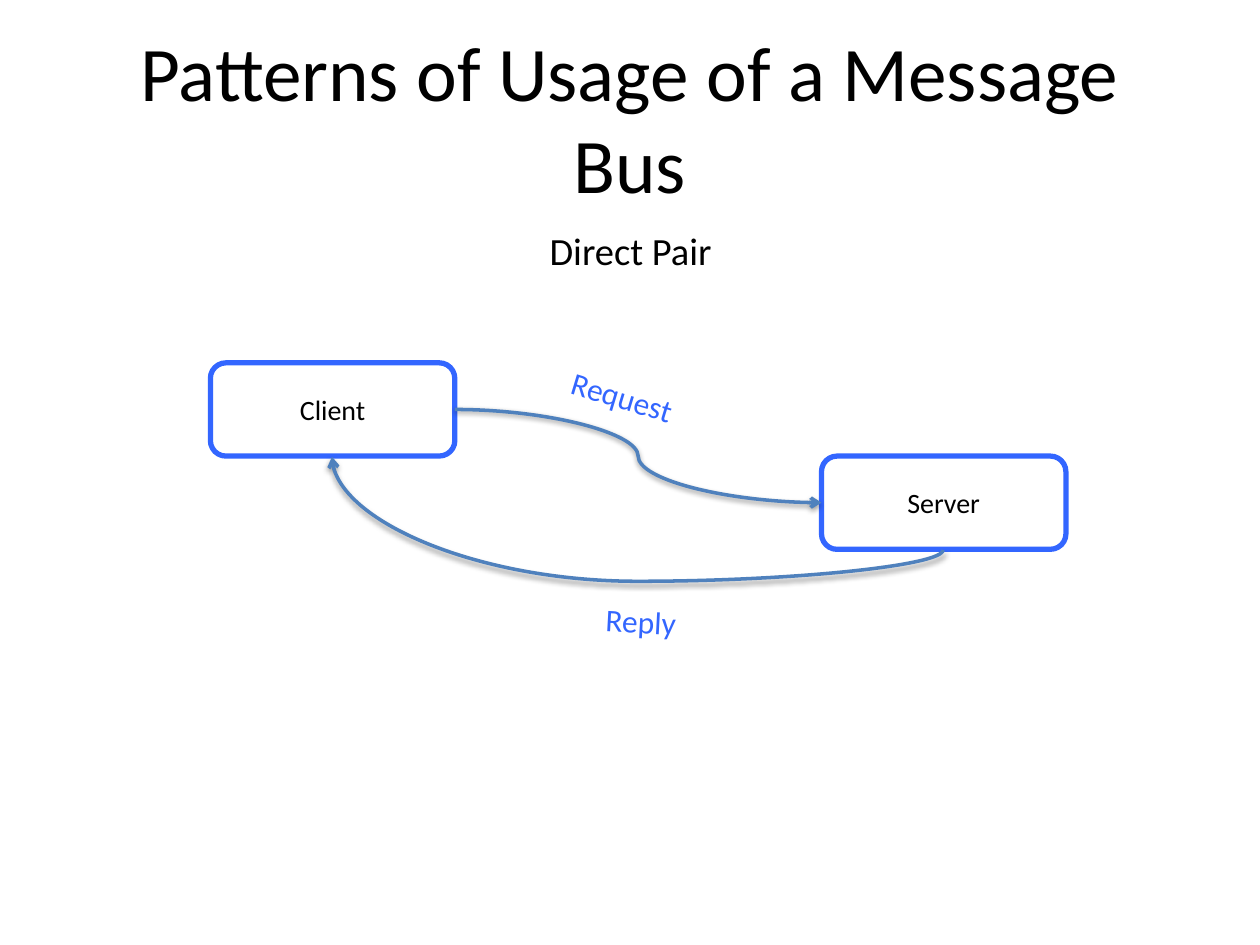
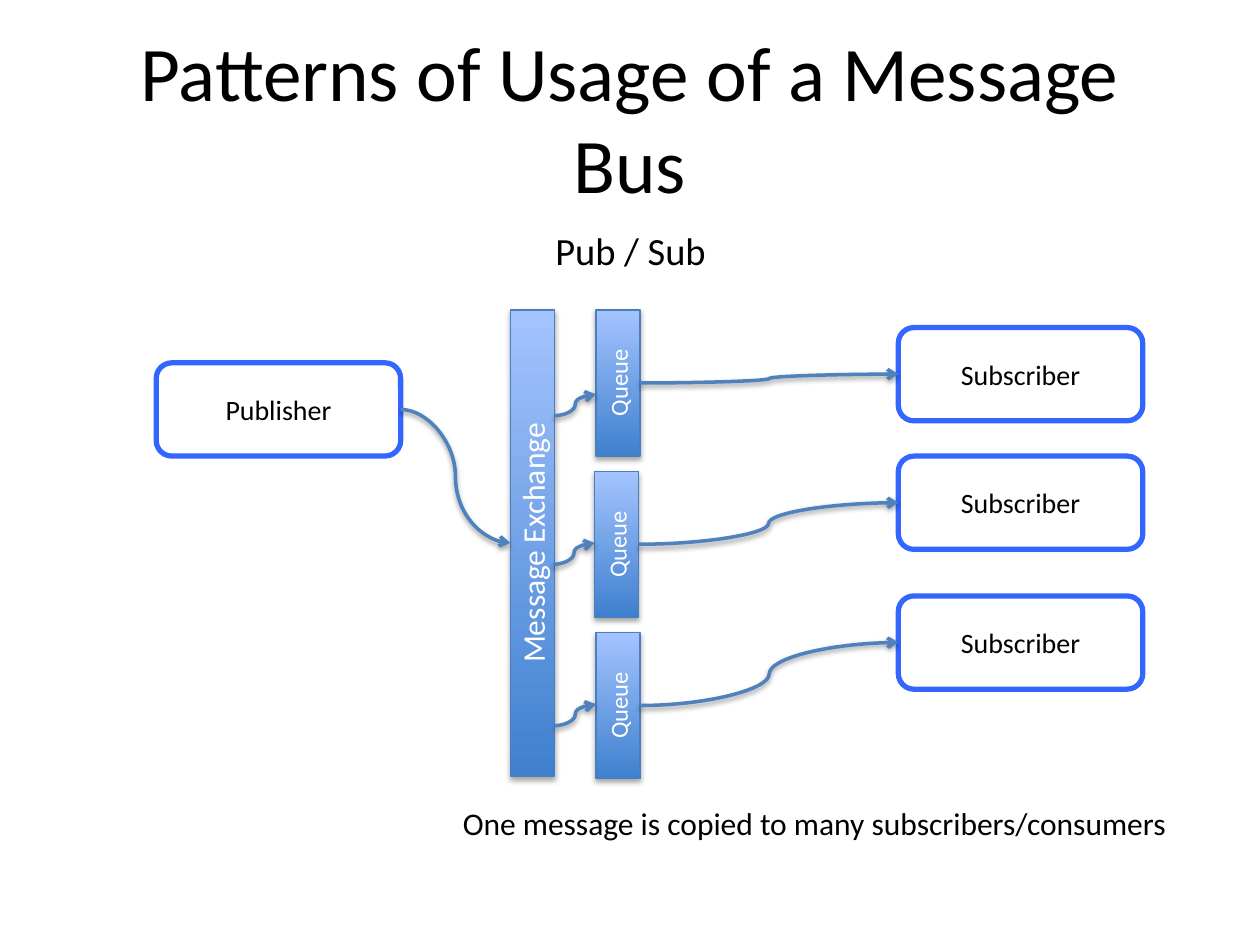
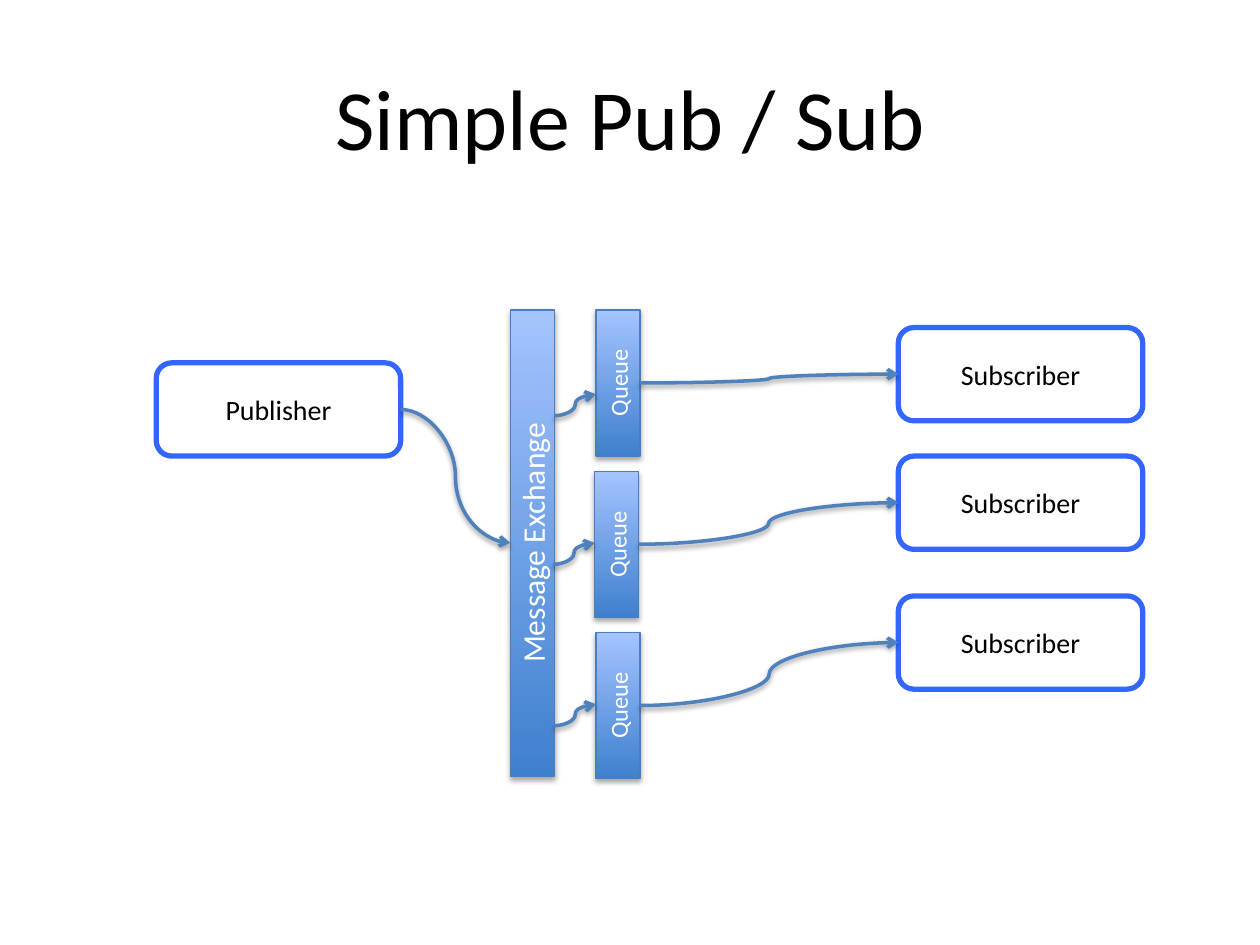
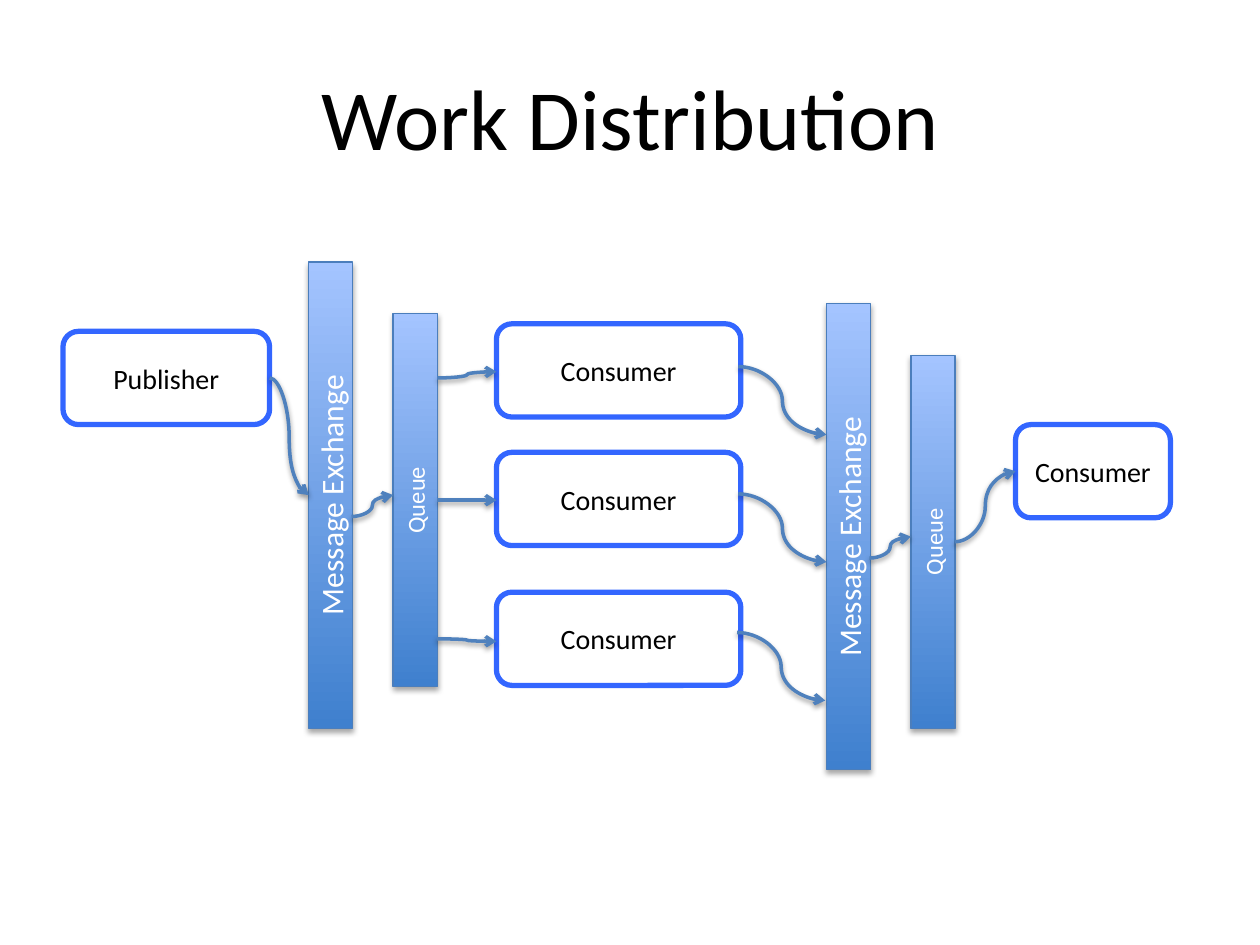
"""Builds four slides on message bus patterns."""
from dataclasses import dataclass

from lxml.etree import SubElement
from pptx import Presentation
from pptx.dml.color import RGBColor
from pptx.enum.shapes import MSO_CONNECTOR, MSO_SHAPE
from pptx.enum.text import MSO_ANCHOR, MSO_AUTO_SIZE, PP_ALIGN
from pptx.oxml.ns import qn
from pptx.util import Inches, Pt


@dataclass(frozen=True)
class Theme:
    font: str = "Calibri"
    text: str = "000000"
    light_text: str = "FFFFFF"
    box_fill: str = "FFFFFF"
    accent: str = "3366FF"
    arrow: str = "4F81BD"
    bar_line: str = "4B7EBC"
    bar_bottom: str = "3F80CE"
    bar_top: str = "A4C4FF"
    shadow: str = "000000"
    title_size: float = 49
    long_title_size: float = 44.1
    subtitle_size: float = 22
    label_size: float = 18
    box_size: float = 16
    queue_size: float = 14


TITLE_ONLY = 5
LEFT_SITE, RIGHT_SITE = 1, 3
BOX_WIDTH, BOX_HEIGHT = 1.94, 0.74
BAR_WIDTH, EXCHANGE_HEIGHT = 0.35, 3.7
BOX_TOPS = (2.6, 3.62, 4.73)
PATTERNS_TITLE = "Patterns of Usage of a Message Bus"


def color(value):
    return RGBColor.from_string(value)


class Deck:
    def __init__(self, theme):
        self.theme = theme
        self.presentation = Presentation()
        self.presentation.slide_width = Inches(10)
        self.presentation.slide_height = Inches(7.5)
        self.slide = None

    def set_text(self, shape, text, size, text_color, align=PP_ALIGN.CENTER):
        shape.text_frame.text = text
        paragraph = shape.text_frame.paragraphs[0]
        paragraph.alignment = align
        paragraph.font.name = self.theme.font
        paragraph.font.size = Pt(size)
        paragraph.font.color.rgb = color(text_color)
        return paragraph

    def add_slide(self, title, size):
        layout = self.presentation.slide_layouts[TITLE_ONLY]
        self.slide = self.presentation.slides.add_slide(layout)
        shape = self.slide.shapes.title
        shape.left, shape.top = Inches(0.5), Inches(0.3)
        shape.width, shape.height = Inches(9), Inches(1.25)
        self.set_text(shape, title, size, self.theme.text)
        shape.text_frame.auto_size = MSO_AUTO_SIZE.NONE
        shape.text_frame.vertical_anchor = MSO_ANCHOR.MIDDLE

    def subtitle(self, text):
        shape = self.slide.shapes.add_textbox(
            Inches(2.24), Inches(1.75), Inches(5.53), Inches(0.54))
        shape.text_frame.word_wrap = True
        paragraph = self.set_text(shape, text, self.theme.subtitle_size, self.theme.text)
        paragraph.space_before = Pt(0.2 * self.theme.subtitle_size)

    def label(self, text, left, top, width, text_color, rotation=0, align=PP_ALIGN.LEFT):
        shape = self.slide.shapes.add_textbox(
            Inches(left), Inches(top), Inches(width), Inches(0.4))
        shape.rotation = rotation
        self.set_text(shape, text, self.theme.label_size, text_color, align)
        shape.text_frame.word_wrap = False
        shape.text_frame.auto_size = MSO_AUTO_SIZE.SHAPE_TO_FIT_TEXT

    def box(self, text, left, top, width=BOX_WIDTH):
        shape = self.slide.shapes.add_shape(
            MSO_SHAPE.ROUNDED_RECTANGLE,
            Inches(left), Inches(top), Inches(width), Inches(BOX_HEIGHT))
        shape.fill.solid()
        shape.fill.fore_color.rgb = color(self.theme.box_fill)
        shape.line.color.rgb = color(self.theme.accent)
        shape.line.width = Pt(3)
        shape.shadow.inherit = False
        self.set_text(shape, text, self.theme.box_size, self.theme.text)
        return shape

    def bar(self, text, left, top, height, size):
        shape = self.slide.shapes.add_shape(
            MSO_SHAPE.RECTANGLE,
            Inches(left), Inches(top), Inches(BAR_WIDTH), Inches(height))
        shape.fill.gradient()
        shape.fill.gradient_angle = 90
        stop_colors = (self.theme.bar_bottom, self.theme.bar_top)
        for stop, stop_color in zip(shape.fill.gradient_stops, stop_colors):
            stop.color.rgb = color(stop_color)
        shape.line.color.rgb = color(self.theme.bar_line)
        shape.line.width = Pt(0.75)
        shape.shadow.inherit = False
        self.cast_shadow(shape.element.spPr.find(qn("a:effectLst")), 1.8, 35)
        self.set_text(shape, text, size, self.theme.light_text)
        shape.element.txBody.find(qn("a:bodyPr")).set("vert", "vert270")
        return shape

    def exchange(self, left, top):
        return self.bar("Message Exchange", left, top, EXCHANGE_HEIGHT, self.theme.label_size)

    def queue(self, left, top, height):
        return self.bar("Queue", left, top, height, self.theme.queue_size)

    def cast_shadow(self, effects, distance, opacity):
        shadow = SubElement(
            effects, qn("a:outerShdw"), blurRad=str(Pt(3.1)), dist=str(Pt(distance)),
            dir="5400000", rotWithShape="0")
        shade = SubElement(shadow, qn("a:srgbClr"), val=self.theme.shadow)
        SubElement(shade, qn("a:alpha"), val=str(opacity * 1000))

    def arrow(self, start_x, start_y, end_x, end_y):
        connector = self.slide.shapes.add_connector(
            MSO_CONNECTOR.CURVE,
            Inches(start_x), Inches(start_y), Inches(end_x), Inches(end_y))
        connector.line.color.rgb = color(self.theme.arrow)
        connector.line.width = Pt(2)
        properties = connector.element.spPr
        SubElement(properties.find(qn("a:ln")), qn("a:tailEnd"), type="arrow")
        self.cast_shadow(SubElement(properties, qn("a:effectLst")), 1.6, 38)
        return connector

    def link(self, source, target):
        connector = self.arrow(
            source.left.inches, source.top.inches, target.left.inches, target.top.inches)
        connector.begin_connect(source, RIGHT_SITE)
        connector.end_connect(target, LEFT_SITE)

    def return_arrow(self):
        connector = self.arrow(5.43, 1.57, 4.69, 6.42)
        properties = connector.element.spPr
        properties.find(qn("a:xfrm")).set("rot", str(90 * 60000))
        geometry = properties.find(qn("a:prstGeom"))
        adjustments = geometry.find(qn("a:avLst"))
        if adjustments is None:
            adjustments = SubElement(geometry, qn("a:avLst"))
        SubElement(adjustments, qn("a:gd"), name="adj1", fmla="val -33600")

    def publish_subscribe(self):
        publisher = self.box("Publisher", 1.24, 2.88)
        exchange = self.exchange(4.05, 2.46)
        self.link(publisher, exchange)
        queue_lefts = (4.73, 4.72, 4.73)
        arrow_ends = (3.13, 4.31, 5.59)
        for row, (left, end, box_top) in enumerate(zip(queue_lefts, arrow_ends, BOX_TOPS)):
            queue = self.queue(left, 2.46 + 1.28 * row, 1.16)
            self.link(queue, self.box("Subscriber", 7.13, box_top))
            self.arrow(left - 0.33, end + 0.17, left, end)

    def exchange_with_queue(self, left, top):
        exchange = self.exchange(left, top)
        queue = self.queue(left + 0.67, top + 0.41, 2.96)
        self.arrow(left + 0.34, top + 2.02, left + 0.67, top + 1.85)
        return exchange, queue


def direct_pair_slide(deck):
    deck.add_slide(PATTERNS_TITLE, deck.theme.long_title_size)
    deck.subtitle("Direct Pair")
    client = deck.box("Client", 1.67, 2.88)
    server = deck.box("Server", 6.52, 3.62)
    deck.link(client, server)
    deck.return_arrow()
    deck.label("Request", 4.43, 2.95, 1.04, deck.theme.accent, 16.8)
    deck.label("Reply", 4.71, 4.73, 0.77, deck.theme.accent, 3)


def pattern_slide(deck):
    deck.add_slide(PATTERNS_TITLE, deck.theme.long_title_size)
    deck.subtitle("Pub / Sub")
    deck.publish_subscribe()
    deck.label("One message is copied to many subscribers/consumers",
               3.53, 6.33, 5.87, deck.theme.text, align=PP_ALIGN.CENTER)


def simple_slide(deck):
    deck.add_slide("Simple Pub / Sub", deck.theme.title_size)
    deck.publish_subscribe()


def work_distribution_slide(deck):
    deck.add_slide("Work Distribution", deck.theme.title_size)
    publisher = deck.box("Publisher", 0.5, 2.63, 1.64)
    work_exchange, _ = deck.exchange_with_queue(2.45, 2.08)
    deck.link(publisher, work_exchange)
    _, result_queue = deck.exchange_with_queue(6.56, 2.41)
    deck.link(result_queue, deck.box("Consumer", 8.06, 3.37, 1.23))
    rows = ((3, 2.95, 5.86, 2.91), (3.97, 3.97, 5.86, 3.92), (5.07, 5.09, 5.85, 5.02))
    for box_top, (start_y, end_y, result_x, result_y) in zip(BOX_TOPS, rows):
        deck.box("Consumer", 3.94, box_top - 0.03)
        deck.arrow(3.47, start_y, 3.94, end_y)
        deck.arrow(result_x, result_y, result_x + 0.7, result_y + 0.54)


def main():
    deck = Deck(Theme())
    direct_pair_slide(deck)
    pattern_slide(deck)
    simple_slide(deck)
    work_distribution_slide(deck)
    deck.presentation.save("out.pptx")


if __name__ == "__main__":
    main()
